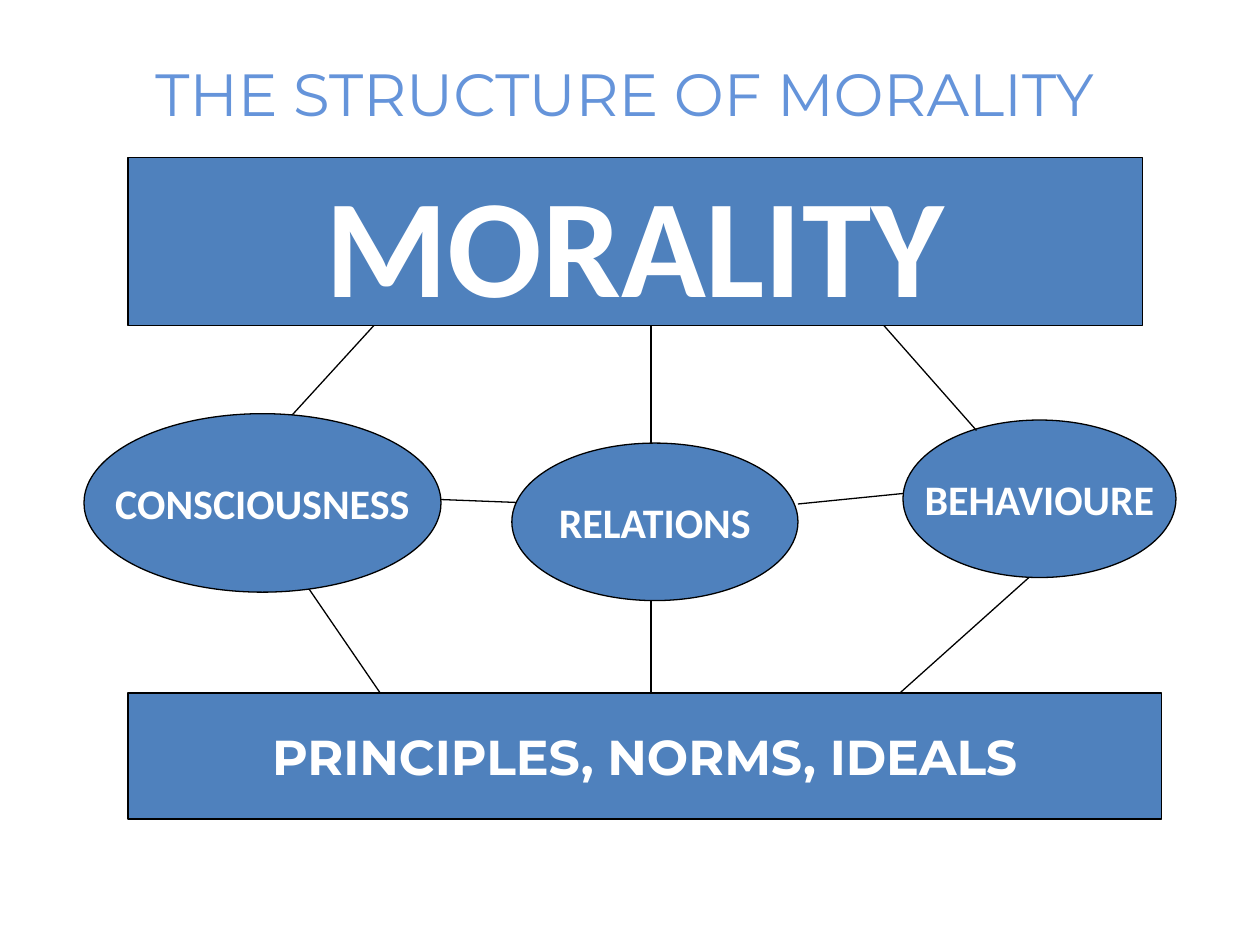
from pptx import Presentation
from pptx.dml.color import RGBColor
from pptx.enum.shapes import MSO_CONNECTOR, MSO_SHAPE
from pptx.enum.text import MSO_ANCHOR, PP_ALIGN
from pptx.oxml.ns import qn
from pptx.util import Inches, Pt
from lxml.etree import SubElement

BLUE = RGBColor(0x4F, 0x81, 0xBD)
SKY = RGBColor(0x65, 0x94, 0xDA)
BLACK = RGBColor(0, 0, 0)
WHITE = RGBColor(255, 255, 255)
COLS, ROWS = 120, 90


def write(shape, text, size=24, font="Calibri", color=WHITE, bold=True, wrap=False):
    frame = shape.text_frame
    frame.word_wrap = wrap
    frame.vertical_anchor = MSO_ANCHOR.MIDDLE
    para = frame.paragraphs[0]
    para.alignment = PP_ALIGN.CENTER
    run = para.add_run()
    run.text = text
    run.font.size = Pt(size)
    run.font.name = font
    run.font.bold = bold
    run.font.color.rgb = color


class Chart:
    def __init__(self, deck):
        self.slide = deck.slides.add_slide(deck.slide_layouts[6])
        self.col = deck.slide_width / COLS
        self.row = deck.slide_height / ROWS
        self.width = Pt(0.75)

    def scale(self, x, y):
        return round(x * self.col), round(y * self.row)

    def title(self, x, y, w, h, text, **style):
        box = self.slide.shapes.add_textbox(*self.scale(x, y), *self.scale(w, h))
        write(box, text, **style)

    def node(self, kind, x, y, w, h, text, **style):
        shape = self.slide.shapes.add_shape(kind, *self.scale(x, y), *self.scale(w, h))
        shape.shadow.inherit = False
        shape.fill.solid()
        shape.fill.fore_color.rgb = BLUE
        shape.line.color.rgb = BLACK
        shape.line.width = self.width
        write(shape, text, **style)

    def oval(self, *place, **style):
        self.node(MSO_SHAPE.OVAL, *place, **style)

    def bar(self, *place, **style):
        self.node(MSO_SHAPE.RECTANGLE, *place, **style)

    def link(self, start, end):
        line = self.slide.shapes.add_connector(
            MSO_CONNECTOR.STRAIGHT, *self.scale(*start), *self.scale(*end))
        line.line.color.rgb = BLACK
        line.line.width = self.width
        SubElement(line._element.spPr, qn("a:effectLst"))


def main():
    deck = Presentation()
    deck.slide_width, deck.slide_height = Inches(10), Inches(7.5)
    chart = Chart(deck)
    chart.title(0, 3.6, 119, 10.4, "THE STRUCTURE OF MORALITY", size=34,
                font="Montserrat", color=SKY, bold=False, wrap=True)
    chart.oval(86, 40, 26, 15, "BEHAVIOURЕ")
    links = [
        ((42, 24), (26.25, 41.25)),
        ((78, 24), (93, 41)),
        ((62, 27), (62, 45)),
        ((62, 51), (62, 66)),
        ((98, 55), (79, 72)),
        ((28, 54), (41, 73)),
        ((37.5, 47.4), (53, 48)),
        ((76, 48), (86, 47)),
    ]
    for start, end in links:
        chart.link(start, end)
    chart.oval(48.75, 42.2, 27.25, 15, "RELATIONS")
    chart.bar(12.2, 66, 98.4, 12, "PRINCIPLES, NORMS, IDEALS", size=28, font="Montserrat")
    chart.bar(12.2, 15, 96.6, 16, "MORALITY", size=80)
    chart.oval(8, 39.4, 34, 17, "CONSCIOUSNESS")
    deck.save("out.pptx")


if __name__ == "__main__":
    main()
